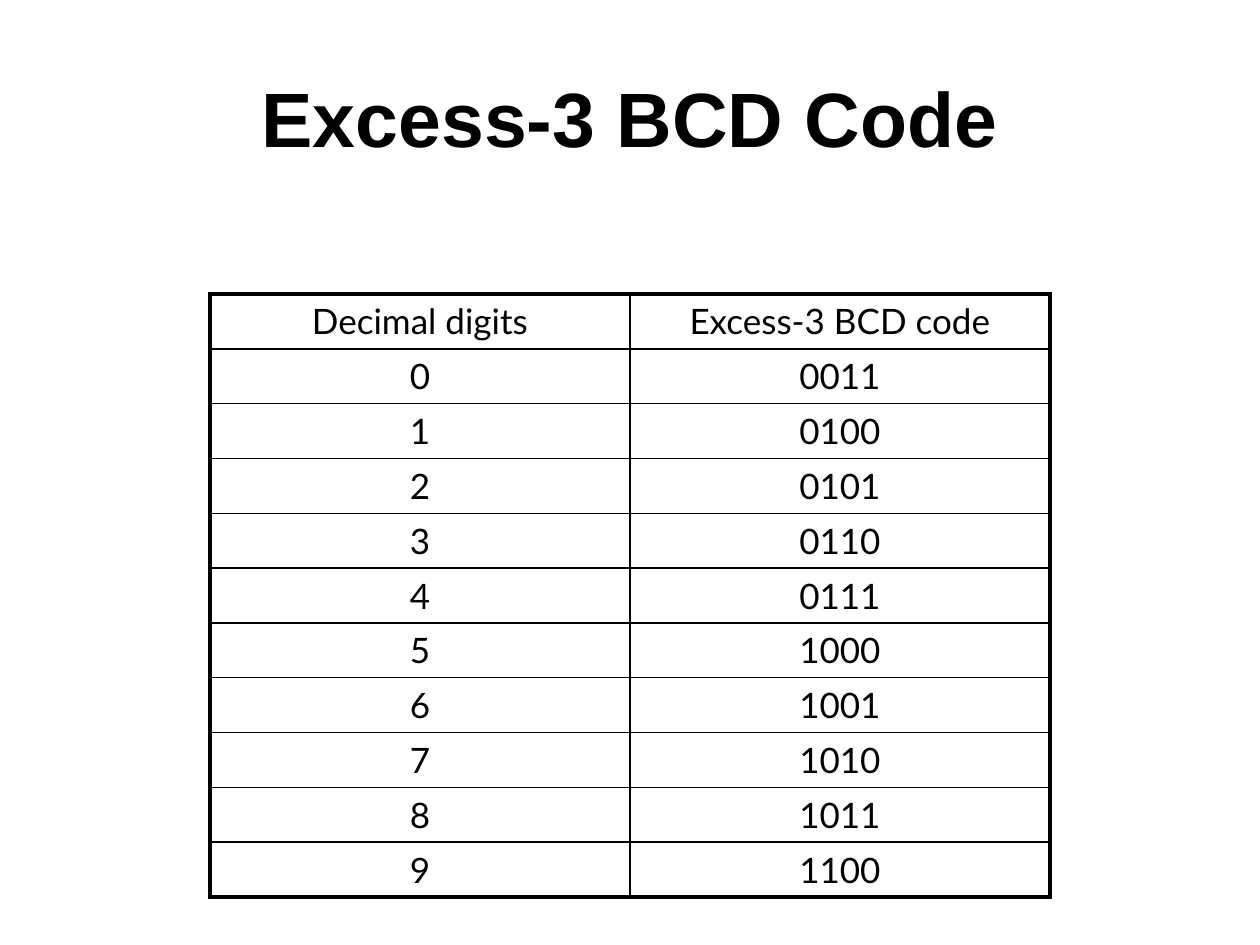
"""Build the Excess-3 BCD code slide with its table of ten digits."""
from lxml.etree import SubElement
from pptx import Presentation
from pptx.dml.color import RGBColor
from pptx.enum.text import MSO_ANCHOR as Anchor, PP_ALIGN as Align
from pptx.oxml.ns import qn
from pptx.util import Pt

SCALE = 914400 / 126
COLORS = {"ink": "000000", "paper": "FFFFFF"}


def px(length):
    return round(length * SCALE)


def style(paragraph, font_name, size, bold=False):
    paragraph.alignment = Align.CENTER
    paragraph.font.name = font_name
    paragraph.font.size = Pt(size)
    paragraph.font.bold = bold
    paragraph.font.color.rgb = RGBColor.from_string(COLORS["ink"])


presentation = Presentation()
presentation.slide_width = px(1260)
presentation.slide_height = px(945)
slide = presentation.slides.add_slide(presentation.slide_layouts[6])
slide.background.fill.solid()
slide.background.fill.fore_color.rgb = RGBColor.from_string(COLORS["paper"])

title = slide.shapes.add_textbox(px(63), px(38), px(1134), px(157)).text_frame
title.word_wrap = True
title.vertical_anchor = Anchor.MIDDLE
title.text = "Excess-3 BCD Code"
style(title.paragraphs[0], "Arial", 44, bold=True)

rows = [("Decimal digits", "Excess-3 BCD code")]
rows += [(str(digit), f"{digit + 3:04b}") for digit in range(10)]
last_row, last_column = len(rows) - 1, len(rows[0]) - 1

table = slide.shapes.add_table(
    len(rows), len(rows[0]), px(210), px(294), px(840), px(603)
).table
table.first_row = False
table.horz_banding = False

for row_index, row in enumerate(rows):
    for column_index, text in enumerate(row):
        cell = table.cell(row_index, column_index)
        cell.text = text
        style(cell.text_frame.paragraphs[0], "Lato", 20)
        outer_edges = {
            "a:lnL": column_index == 0,
            "a:lnR": column_index == last_column,
            "a:lnT": row_index == 0,
            "a:lnB": row_index == last_row,
        }
        properties = cell._tc.get_or_add_tcPr()
        for tag, is_outer in outer_edges.items():
            width = Pt(2.25 if is_outer else 1)
            border = SubElement(properties, qn(tag), w=str(width))
            fill = SubElement(border, qn("a:solidFill"))
            SubElement(fill, qn("a:srgbClr"), val=COLORS["ink"])
        cell.fill.background()

presentation.save("out.pptx")
